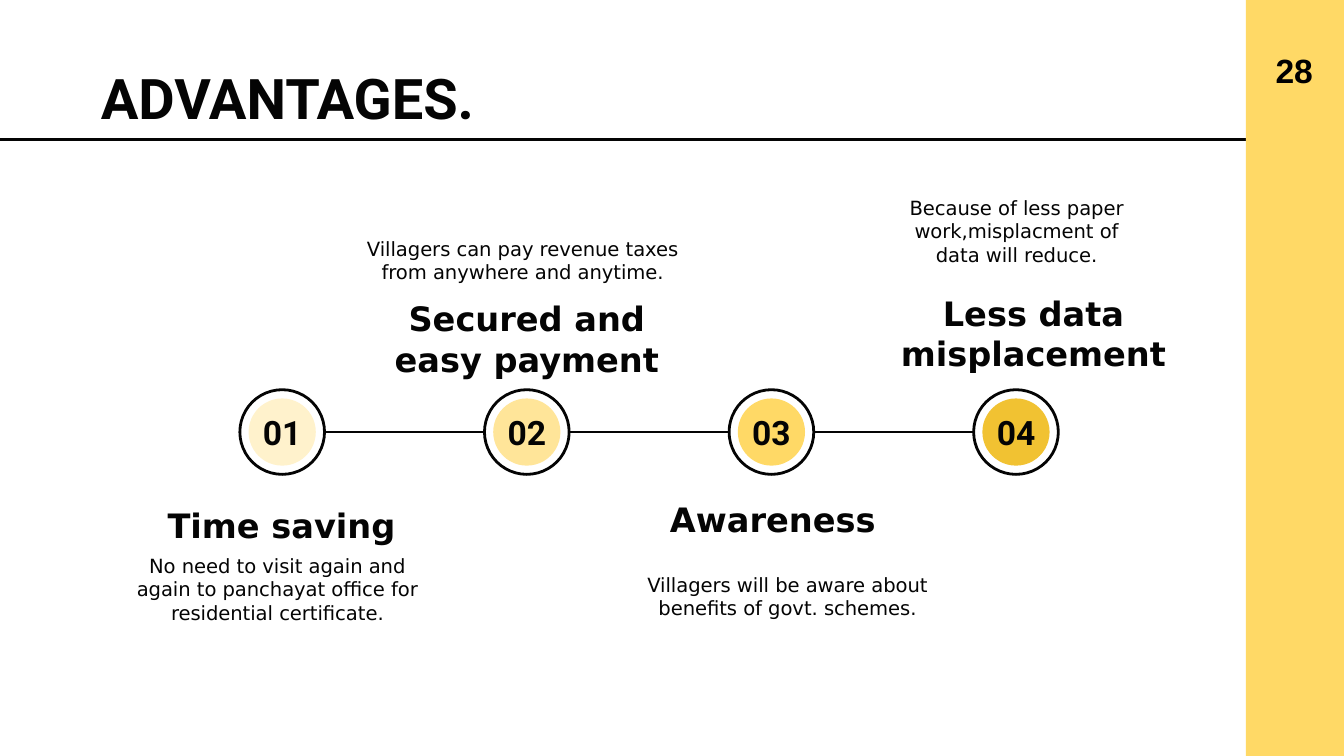
from lxml import etree
from pptx import Presentation, util as u
from pptx.dml.color import RGBColor
from pptx.enum import shapes, text
from pptx.oxml.ns import qn

INK = RGBColor(0x04, 0x04, 0x04)
BLACK = RGBColor(0, 0, 0)
YELLOW = RGBColor(0xFF, 0xD9, 0x66)
STEP_COLOURS = [RGBColor(0xFF, 0xF2, 0xCC), RGBColor(0xFF, 0xE5, 0x99),
                YELLOW, RGBColor(0xF1, 0xC2, 0x32)]

WIDTH = 10
HEIGHT = WIDTH * 9 / 16
BAND_LEFT = 9.27
RING, DISC = 0.63, 0.5
RING_TOP = 2.9
TIMELINE_Y = RING_TOP + RING / 2
FIRST_CENTRE, PITCH = 2.1, 1.82
TOP, MIDDLE, BOTTOM = (text.MSO_ANCHOR.TOP, text.MSO_ANCHOR.MIDDLE,
                       text.MSO_ANCHOR.BOTTOM)

# Heading, its box and anchor, then description, its box and anchor
STEPS = [
    ("Time saving", (0.96, 3.53, 2.27, 0.63), BOTTOM,
     "No need to visit again and again to panchayat office for "
     "residential certificate.", (0.9, 4.02, 2.33, 0.96), TOP),
    ("Secured and easy payment", (2.58, 2.12, 2.68, 0.69), TOP,
     "Villagers can pay revenue taxes from anywhere and anytime.",
     (2.49, 1.27, 2.8, 0.94), BOTTOM),
    ("Awareness", (4.4, 3.61, 2.7, 0.5), BOTTOM,
     "Villagers will be aware about benefits of govt. schemes.",
     (4.47, 4.16, 2.78, 0.82), TOP),
    ("Less data misplacement", (6.55, 2.08, 2.28, 0.63), TOP,
     "Because of less paper work,misplacment of data will reduce.",
     (6.55, 1.36, 2.03, 0.72), BOTTOM),
]


def inches(values):
    return [u.Inches(value) for value in values]


def write(shape, words, size=18, font="DejaVu Sans", bold=True, colour=INK,
          align=text.PP_ALIGN.CENTER, anchor=TOP):
    frame = shape.text_frame
    frame.word_wrap = True
    frame.auto_size = text.MSO_AUTO_SIZE.NONE
    frame.vertical_anchor = anchor
    frame.margin_left = frame.margin_right = u.Inches(0.1)
    frame.margin_top = frame.margin_bottom = u.Inches(0.1)
    paragraph = frame.paragraphs[0]
    paragraph.alignment = align
    run = paragraph.add_run()
    run.text = words
    run.font.name, run.font.size, run.font.bold = font, u.Pt(size), bold
    run.font.color.rgb = colour


def add_text(slide, words, box, **style):
    write(slide.shapes.add_textbox(*inches(box)), words, **style)


def add_title(slide, words, box):
    title = slide.shapes.title
    title.left, title.top, title.width, title.height = inches(box)
    write(title, words, size=30, font="Roboto", align=text.PP_ALIGN.LEFT)


def add_rule(slide, left, right, y):
    line = slide.shapes.add_connector(
        shapes.MSO_CONNECTOR.STRAIGHT, *inches((left, y, right, y)))
    line.line.color.rgb = INK
    line.line.width = u.Pt(1.5)
    etree.SubElement(line._element.spPr, qn("a:effectLst"))


def add_shape(slide, kind, box, fill=None):
    """Add a filled shape, or an ink outline when no fill is given."""
    shape = slide.shapes.add_shape(kind, *inches(box))
    shape.shadow.inherit = False
    if fill is None:
        shape.fill.background()
        shape.line.color.rgb = INK
        shape.line.width = u.Pt(1.5)
    else:
        shape.fill.solid()
        shape.fill.fore_color.rgb = fill
        shape.line.fill.background()


def add_circle(slide, centre, diameter, fill=None):
    box = (centre - diameter / 2, TIMELINE_Y - diameter / 2, diameter, diameter)
    add_shape(slide, shapes.MSO_SHAPE.OVAL, box, fill)


def add_step(slide, index, step):
    heading, heading_box, heading_anchor, body, body_box, body_anchor = step
    centre = FIRST_CENTRE + index * PITCH
    if index:
        add_rule(slide, centre - PITCH + RING / 2, centre - RING / 2, TIMELINE_Y)
    add_circle(slide, centre, RING)
    add_circle(slide, centre, DISC, STEP_COLOURS[index])
    add_text(slide, f"{index + 1:02}", (centre - 0.39, RING_TOP, 0.78, RING),
             font="Roboto", anchor=MIDDLE)
    add_text(slide, heading, heading_box, anchor=heading_anchor)
    add_text(slide, body, body_box, size=10.5, bold=False, anchor=body_anchor)


def main():
    presentation = Presentation()
    presentation.slide_width, presentation.slide_height = inches((WIDTH, HEIGHT))
    slide = presentation.slides.add_slide(presentation.slide_layouts[5])
    add_rule(slide, 0, WIDTH, 1.04)
    add_title(slide, "ADVANTAGES.", (0.65, 0.37, 3.42, 0.74))
    for index, step in enumerate(STEPS):
        add_step(slide, index, step)
    add_shape(slide, shapes.MSO_SHAPE.RECTANGLE,
              (BAND_LEFT, 0, WIDTH - BAND_LEFT, HEIGHT), YELLOW)
    add_text(slide, "28", (9.36, 0.31, 0.54, 0.43), font="Arial",
             colour=BLACK, anchor=MIDDLE)
    presentation.save("out.pptx")


if __name__ == "__main__":
    main()
